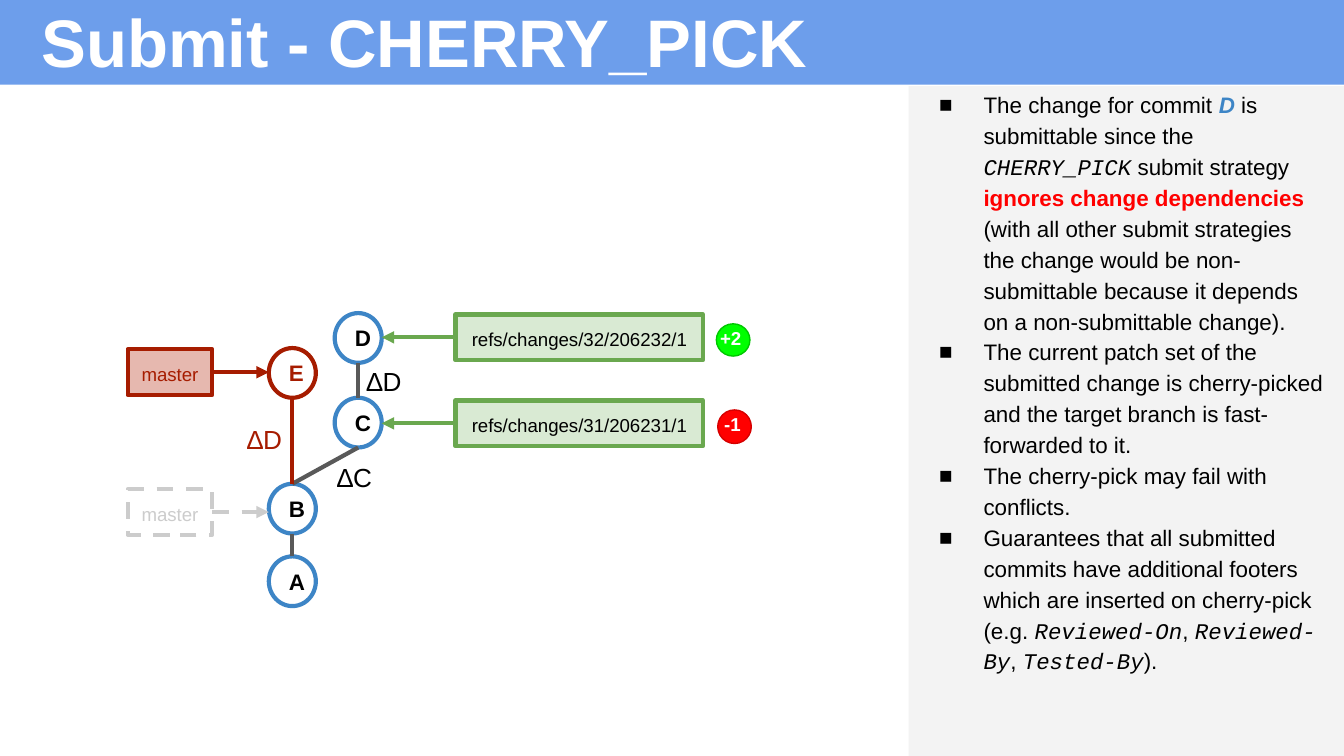
from lxml import etree
from pptx import Presentation
from pptx.dml.color import RGBColor
from pptx.enum import dml, shapes, text
from pptx.oxml import ns
from pptx.util import Inches, Pt

RECT, OVAL = shapes.MSO_SHAPE.RECTANGLE, shapes.MSO_SHAPE.OVAL
TOP, MIDDLE = text.MSO_ANCHOR.TOP, text.MSO_ANCHOR.MIDDLE
LEFT, CENTER = text.PP_ALIGN.LEFT, text.PP_ALIGN.CENTER
BLACK, WHITE, GREY, FADED = "000000", "FFFFFF", "595959", "CCCCCC"
BLUE, RED, GREEN = "3D85C6", "A61C00", "6AA84F"
color = RGBColor.from_string

# Widescreen, 16:9
deck = Presentation()
deck.slide_width = Inches(10)
deck.slide_height = Inches(10 * 9 / 16)
slide = deck.slides.add_slide(deck.slide_layouts[6])


def draw(parent, kind, at, fill=None, line=None, width=2.25):
    shape = parent.shapes.add_shape(kind, *map(Inches, at))
    shape.shadow.inherit = False
    for part, tone in ((shape.fill, fill), (shape.line.fill, line)):
        if tone:
            part.solid()
            part.fore_color.rgb = color(tone)
        else:
            part.background()
    if line:
        shape.line.width = Pt(width)
    return shape


def write(shape, words, size, tone, bold=False, align=LEFT, anchor=TOP):
    frame = shape.text_frame
    frame.word_wrap = True
    frame.vertical_anchor = anchor
    frame.margin_left = frame.margin_right = Inches(0.1)
    frame.margin_top = frame.margin_bottom = Inches(0.1)
    frame.text = words
    frame.paragraphs[0].alignment = align
    font = frame.paragraphs[0].runs[0].font
    font.name, font.size, font.bold = "Arial", Pt(size), bold
    font.color.rgb = color(tone)


# Title bar
draw(slide, RECT, (0, 0, 10.01, 0.63), "6D9EEB")
title = slide.shapes.add_textbox(*map(Inches, (0.21, -0.1, 8.94, 0.83)))
write(title, "Submit - CHERRY_PICK", 36, WHITE, True)

# Explanation panel: each bullet is a list of (words, style)
draw(slide, RECT, (6.76, 0.64, 3.25, 4.99), "F3F3F3")
styles = {  # font, colour, bold, italic
    "plain": ("Arial", BLACK, False, False),
    "commit": ("Arial", BLUE, True, True),
    "code": ("Courier New", BLACK, False, True),
    "alert": ("Arial", "FF0000", True, False),
}
bullets = [
    [("The change for commit ", "plain"), ("D", "commit"),
     (" is submittable since the ", "plain"), ("CHERRY_PICK", "code"),
     (" submit strategy ", "plain"), ("ignores change dependencies", "alert"),
     (" (with all other submit strategies the change would be non-submittable "
      "because it depends on a non-submittable change).", "plain")],
    [("The current patch set of the submitted change is cherry-picked and the "
      "target branch is fast-forwarded to it.", "plain")],
    [("The cherry-pick may fail with conflicts.", "plain")],
    [("Guarantees that all submitted commits have additional footers which are "
      "inserted on cherry-pick (e.g. ", "plain"), ("Reviewed-On", "code"),
     (", ", "plain"), ("Reviewed-By", "code"), (", ", "plain"),
     ("Tested-By", "code"), (").", "plain")],
]
explanation = slide.shapes.add_textbox(*map(Inches, (6.72, 0.55, 3.24, 4.99))).text_frame
explanation.word_wrap = True
explanation.margin_top = explanation.margin_bottom = Inches(0.1)
for i, bullet in enumerate(bullets):
    paragraph = explanation.add_paragraph() if i else explanation.paragraphs[0]
    paragraph.line_spacing = 1.15
    paragraph.space_before = Pt(0 if i else 9)
    for words, style in bullet:
        run = paragraph.add_run()
        run.text = words
        run.font.size = Pt(12)
        run.font.name, tone, run.font.bold, run.font.italic = styles[style]
        run.font.color.rgb = color(tone)
    props = paragraph._p.get_or_add_pPr()
    props.set("marL", str(Inches(0.5)))
    props.set("indent", str(Inches(-0.33)))
    mark_color = etree.SubElement(props, ns.qn("a:buClr"))
    etree.SubElement(mark_color, ns.qn("a:srgbClr"), val=BLACK)
    etree.SubElement(props, ns.qn("a:buFont"), typeface="Arial")
    etree.SubElement(props, ns.qn("a:buChar"), char="■")

# Commits
main_x, change_x, commit_w, commit_h = 2, 2.49, 0.35, 0.37
commits = {
    "A": (main_x, 4.14, BLUE, BLACK), "B": (main_x, 3.6, BLUE, BLACK),
    "C": (change_x, 2.96, BLUE, BLACK), "D": (change_x, 2.33, BLUE, BLACK),
    "E": (main_x, 2.59, RED, RED),
}
for name, (x, y, outline, tone) in commits.items():
    commit = draw(slide, OVAL, (x, y, commit_w, commit_h), line=outline)
    write(commit, name, 12, tone, True, CENTER, MIDDLE)

# Parent links, from the top of the parent to the bottom of the child
for parent, child, tone in (("A", "B", GREY), ("B", "C", GREY),
                            ("C", "D", GREY), ("B", "E", RED)):
    (x1, y1), (x2, y2) = commits[parent][:2], commits[child][:2]
    ends = (x1 + commit_w / 2, y1, x2 + commit_w / 2, y2 + commit_h)
    link = slide.shapes.add_connector(shapes.MSO_CONNECTOR.STRAIGHT, *map(Inches, ends))
    link.line.color.rgb = color(tone)
    link.line.width = Pt(2.25)
    etree.SubElement(link._element.spPr, ns.qn("a:effectLst"))

# Refs, each with an arrow to its commit
refs = [  # words, left, top, width, fill, outline, text, arrow end, side, dashed
    ("refs/changes/32/206232/1", 3.39, 2.34, 1.84, "D9EAD3", GREEN, BLACK, 2.84, 1, False),
    ("refs/changes/31/206231/1", 3.39, 2.98, 1.84, "D9EAD3", GREEN, BLACK, 2.84, 1, False),
    ("master", 0.95, 2.6, 0.63, "E6B8AF", RED, RED, 2, 3, False),
    ("master", 0.95, 3.64, 0.63, None, FADED, FADED, 2, 3, True),
]
ref_h = 0.34
for words, x, y, width, fill, outline, tone, end_x, side, dashed in refs:
    ref = draw(slide, RECT, (x, y, width, ref_h), fill, outline)
    write(ref, words, 10, tone, align=CENTER)
    middle = y + ref_h / 2
    arrow = slide.shapes.add_connector(
        shapes.MSO_CONNECTOR.STRAIGHT, *map(Inches, (x, middle, end_x, middle)))
    arrow.begin_connect(ref, side)
    arrow.line.color.rgb = color(outline)
    arrow.line.width = Pt(2.25)
    if dashed:
        ref.line.dash_style = arrow.line.dash_style = dml.MSO_LINE.DASH
    etree.SubElement(arrow.line._get_or_add_ln(), ns.qn("a:tailEnd"), type="triangle")
    etree.SubElement(arrow._element.spPr, ns.qn("a:effectLst"))

# Delta labels
for words, x, y, tone in (("∆C", 2.41, 3.33, BLACK), ("∆D", 1.74, 3.05, RED),
                          ("∆D", 2.63, 2.62, BLACK)):
    delta = slide.shapes.add_textbox(*map(Inches, (x, y, 0.54, 0.38)))
    write(delta, words, 14, tone)

# Review votes
votes = [
    ("+2", (5.33, 2.41, 0.25, 0.24), "00FF00", "00C700", (5.26, 2.35, 0.5, 0.33)),
    ("-1", (5.34, 3.05, 0.25, 0.25), "FF0000", "D50000", (5.29, 2.99, 0.4, 0.28)),
]
for score, badge_at, fill, outline, score_at in votes:
    vote = slide.shapes.add_group_shape()
    draw(vote, OVAL, badge_at, fill, outline, 0.75)
    write(vote.shapes.add_textbox(*map(Inches, score_at)), score, 10, WHITE, True)

deck.save("out.pptx")
